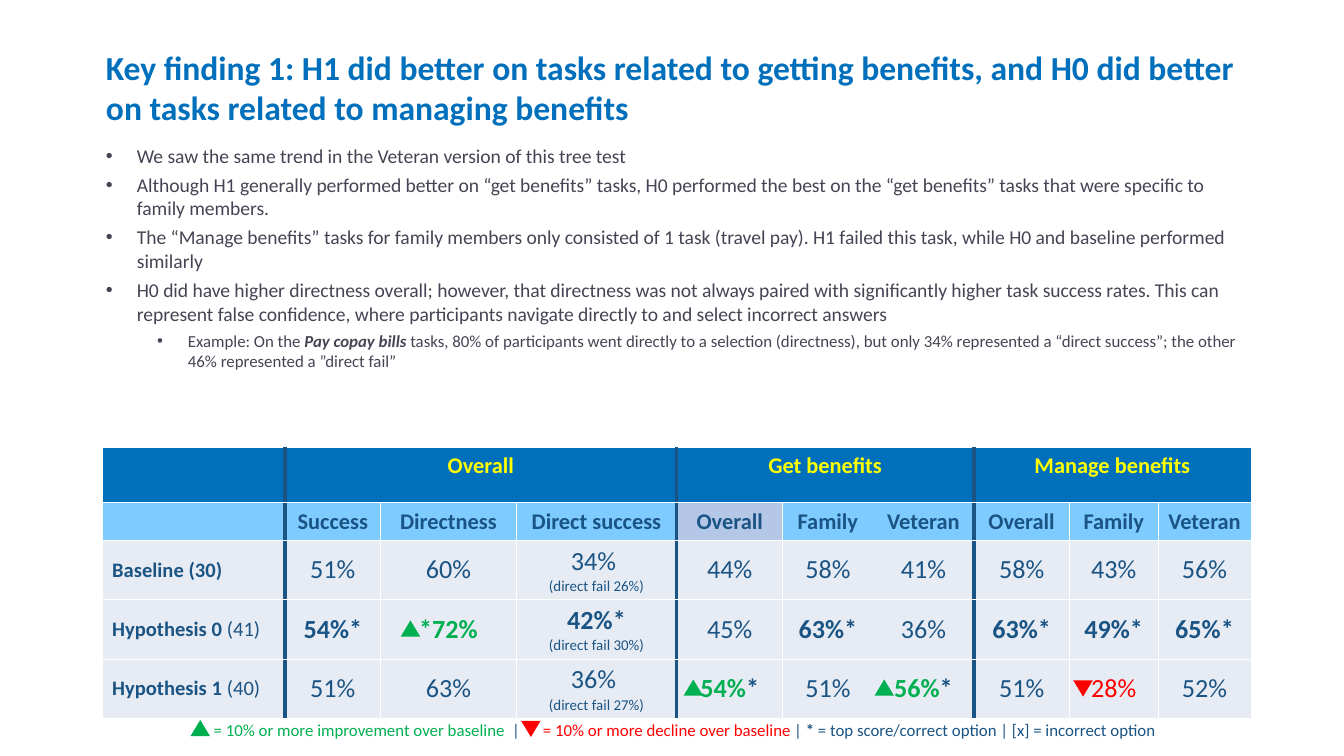
import itertools
from dataclasses import dataclass

import lxml.etree
import pptx
import pptx.dml.color
import pptx.enum.shapes
import pptx.enum.text
import pptx.oxml.ns
import pptx.util

SLIDE_W = 10
SLIDE_H = SLIDE_W * 9 / 16
ALIGN = pptx.enum.text.PP_ALIGN
ANCHOR = pptx.enum.text.MSO_ANCHOR
qn = pptx.oxml.ns.qn
inch = pptx.util.Inches


@dataclass(frozen=True)
class Theme:
    font: str = "Calibri"
    blue: str = "0070BC"
    sky: str = "7ECBFF"
    lilac: str = "B4C7E7"
    pale: str = "E7EBF3"
    navy: str = "1A5484"
    grey: str = "454454"
    yellow: str = "FFFF00"
    white: str = "FFFFFF"
    up: str = "00B050"
    down: str = "FF0000"
    title: float = 18
    body: float = 10.5
    detail: float = 9
    header: float = 12
    label: float = 11
    score: float = 14
    note: float = 8


T = Theme()

BULLETS = [
    "We saw the same trend in the Veteran version of this tree test",
    "Although H1 generally performed better on “get benefits” tasks, H0 performed the best "
    "on the “get benefits” tasks that were specific to family members.",
    "The “Manage benefits” tasks for family members only consisted of 1 task (travel pay). "
    "H1 failed this task, while H0 and baseline performed similarly",
    "H0 did have higher directness overall; however, that directness was not always paired "
    "with significantly higher task success rates. This can represent false confidence, "
    "where participants navigate directly to and select incorrect answers",
]
EXAMPLE = [
    ("Example: On the ", {}),
    ("Pay copay bills ", {"bold": True, "italic": True}),
    ("tasks, 80% of participants went directly to a selection (directness), but only 34% "
     "represented a “direct success”; the other 46% represented a ”direct fail”", {}),
]

COLUMNS = [1.36, 0.71, 1.01, 1.19, 0.79, 0.67, 0.75, 0.71, 0.66, 0.69]
ROWS = [0.41, 0.28, 0.44, 0.44, 0.44]
GROUPS = {1: "Overall", 4: "Get benefits", 7: "Manage benefits"}
GROUP_SPAN = 3
OPEN_EDGE = 6
MEASURES = ["Success", "Directness", "Direct success"] + ["Overall", "Family", "Veteran"] * 2
RESULTS = [
    [("Baseline (30)", ""), "51%", "60%", "34% ", "44%", "58%", "41%", "58%", "43%", "56%"],
    [("Hypothesis 0 ", "(41)"),
     "54%*", "*72%", "42%*", "45%", "63%*", "36%", "63%*", "49%*", "65%*"],
    [("Hypothesis 1 ", "(40)"),
     "51%", "63%", "36% ", "54%*", "51%", "56%*", "51%", "28%", "52%"],
]
DIRECT_SUCCESS = 3
DIRECT_FAILS = ["26%", "30%", "27%"]
# (table row, column): direction and marker offset as a share of the column
TRENDS = {(3, 2): ("up", 0.16), (4, 4): ("up", 0.08),
          (4, 6): ("up", 0.03), (4, 8): ("down", 0.06)}


def share(x, y, w, h):
    """Turn percentages of the slide into a box in inches."""
    return x * SLIDE_W / 100, y * SLIDE_H / 100, w * SLIDE_W / 100, h * SLIDE_H / 100


def rgb(color):
    return pptx.dml.color.RGBColor.from_string(color)


def add_run(p, text, size, color, bold=False, italic=False):
    r = p.add_run()
    r.text = text
    r.font.name, r.font.size = T.font, pptx.util.Pt(size)
    r.font.bold, r.font.italic = bold, italic
    r.font.color.rgb = rgb(color)


def add_text_frame(slide, box):
    tf = slide.shapes.add_textbox(*map(inch, box)).text_frame
    tf.word_wrap = True
    return tf


def add_marker(slide, x, middle, trend):
    w, h = 0.12, 0.1
    sp = slide.shapes.add_shape(pptx.enum.shapes.MSO_SHAPE.ISOSCELES_TRIANGLE,
                                inch(x), inch(middle - h / 2), inch(w), inch(h))
    sp.shadow.inherit = False
    sp.rotation = 180 if trend == "down" else 0
    color = rgb(getattr(T, trend))
    sp.fill.solid()
    sp.fill.fore_color.rgb = color
    sp.line.color.rgb = color
    sp.line.width = pptx.util.Pt(1)
    lxml.etree.SubElement(sp._element.spPr.find(qn("a:ln")), qn("a:miter")).set("lim", "800000")


def add_title(slide, box):
    p = add_text_frame(slide, box).paragraphs[0]
    add_run(p, "Key finding 1: H1 did better on tasks related to getting benefits, "
               "and H0 did better on tasks related to managing benefits", T.title, T.blue, True)


def add_findings(slide, box):
    tf = add_text_frame(slide, box)
    items = [(0, [(text, {})]) for text in BULLETS] + [(1, EXAMPLE)]
    for i, (level, runs) in enumerate(items):
        p = tf.add_paragraph() if i else tf.paragraphs[0]
        p.level = level
        p.space_after = pptx.util.Pt(3)
        pPr = p._p.get_or_add_pPr()
        pPr.set("marL", str(inch(0.61 if level else 0.23)))
        pPr.set("indent", str(-inch(0.23)))
        lxml.etree.SubElement(pPr, qn("a:buFont")).set("typeface", "Arial")
        lxml.etree.SubElement(pPr, qn("a:buChar")).set("char", "•")
        for text, style in runs:
            add_run(p, text, T.detail if level else T.body, T.grey, **style)


def paint_cell(cell, fill, col, span=1):
    """Set margins, edges and fill; heavy edges stand where a group starts."""
    cell.margin_left = cell.margin_right = pptx.util.Pt(5.4)
    cell.margin_top = cell.margin_bottom = pptx.util.Pt(2.7)
    tcPr = cell._tc.get_or_add_tcPr()
    for side, edge in (("L", col), ("R", col + span), ("T", None), ("B", None)):
        heavy = edge in GROUPS
        ln = lxml.etree.SubElement(tcPr, qn(f"a:ln{side}"))
        ln.set("w", str(pptx.util.Pt(2.25 if heavy else 0.5)))
        if edge == OPEN_EDGE:
            lxml.etree.SubElement(ln, qn("a:noFill"))
        else:
            line_fill = lxml.etree.SubElement(ln, qn("a:solidFill"))
            color = T.navy if heavy else T.white
            lxml.etree.SubElement(line_fill, qn("a:srgbClr")).set("val", color)
    cell.fill.solid()
    cell.fill.fore_color.rgb = rgb(fill)


def write_score(p, text, trend):
    color = getattr(T, trend) if trend else T.navy
    bold = "*" in text
    value = text.rstrip("*") if trend else text
    add_run(p, value, T.score, color, bold)
    if value != text:
        add_run(p, "*", T.score, T.navy, bold)


def fill_cell(cell, row, col):
    p = cell.text_frame.paragraphs[0]
    p.alignment = ALIGN.CENTER if col else ALIGN.LEFT
    cell.vertical_anchor = ANCHOR.MIDDLE if row else ANCHOR.TOP
    if row == 0 and col in GROUPS:
        add_run(p, GROUPS[col], T.header, T.yellow, True)
    elif row == 1 and col:
        add_run(p, MEASURES[col - 1], T.header, T.navy, True)
    elif row < 2:
        p._p.get_or_add_endParaRPr().set("sz", str(T.header * 100))
    elif col == 0:
        name, count = RESULTS[row - 2][0]
        add_run(p, name, T.label, T.navy, True)
        if count:
            add_run(p, count, T.label, T.navy)
    else:
        write_score(p, RESULTS[row - 2][col], TRENDS.get((row, col), ("",))[0])
        if col == DIRECT_SUCCESS:
            p.add_line_break()
            add_run(p, f"(direct fail {DIRECT_FAILS[row - 2]})", T.note, T.navy)


def add_results(slide, box):
    x, y, w, h = box
    widths = [w * c / sum(COLUMNS) for c in COLUMNS]
    heights = [h * r / sum(ROWS) for r in ROWS]
    table = slide.shapes.add_table(len(ROWS), len(COLUMNS), *map(inch, box)).table
    table.first_row = table.horz_banding = False
    for column, width in zip(table.columns, widths):
        column.width = inch(width)
    for row, height in zip(table.rows, heights):
        row.height = inch(height)
    for col in GROUPS:
        table.cell(0, col).merge(table.cell(0, col + GROUP_SPAN - 1))

    # Cells
    fills = [T.blue, T.sky] + [T.pale] * len(RESULTS)
    for row, col in itertools.product(range(len(ROWS)), range(len(COLUMNS))):
        cell = table.cell(row, col)
        fill = T.lilac if (row, col) == (1, 4) else fills[row]
        paint_cell(cell, fill, col, GROUP_SPAN if cell.is_merge_origin else 1)
        fill_cell(cell, row, col)

    # Trend markers
    for (row, col), (trend, offset) in TRENDS.items():
        add_marker(slide, x + sum(widths[:col]) + offset * widths[col],
                   y + sum(heights[:row]) + heights[row] / 2, trend)


def add_legend(slide, box):
    x, y, w, h = box
    tf = add_text_frame(slide, box)
    tf.margin_left, tf.margin_right = inch(1.03), inch(0.07)
    tf.margin_top = tf.margin_bottom = inch(0.04)
    p = tf.paragraphs[0]
    p.line_spacing = 0.9
    tabs = lxml.etree.SubElement(p._p.get_or_add_pPr(), qn("a:tabLst"))
    for position in (2.22, 2.45):
        tab = lxml.etree.SubElement(tabs, qn("a:tab"))
        tab.set("pos", str(inch(position)))
        tab.set("algn", "l")
    for text, color, bold in [
        ("= 10% or more improvement over baseline", T.up, False),
        ("\t|\t", T.navy, False),
        ("= 10% or more decline over baseline ", T.down, False),
        ("| ", T.navy, False),
        ("*", T.navy, True),
        (" = top score/correct option | [x] = incorrect option", T.navy, False),
    ]:
        add_run(p, text, T.detail, color, bold)
    for trend, offset in (("up", 0.87), ("down", 3.33)):
        add_marker(slide, x + offset, y + 0.41 * h, trend)


def main():
    prs = pptx.Presentation()
    prs.slide_width, prs.slide_height = inch(SLIDE_W), inch(SLIDE_H)
    slide = prs.slides.add_slide(prs.slide_layouts[6])
    add_title(slide, share(6.9, 5.33, 86.2, 14.58))
    add_findings(slide, share(6.9, 18.13, 86.2, 32.71))
    add_results(slide, share(7.6, 59.2, 85.5, 35.73))
    add_legend(slide, share(5.6, 94.76, 90.5, 3.91))
    prs.save("out.pptx")


if __name__ == "__main__":
    main()
